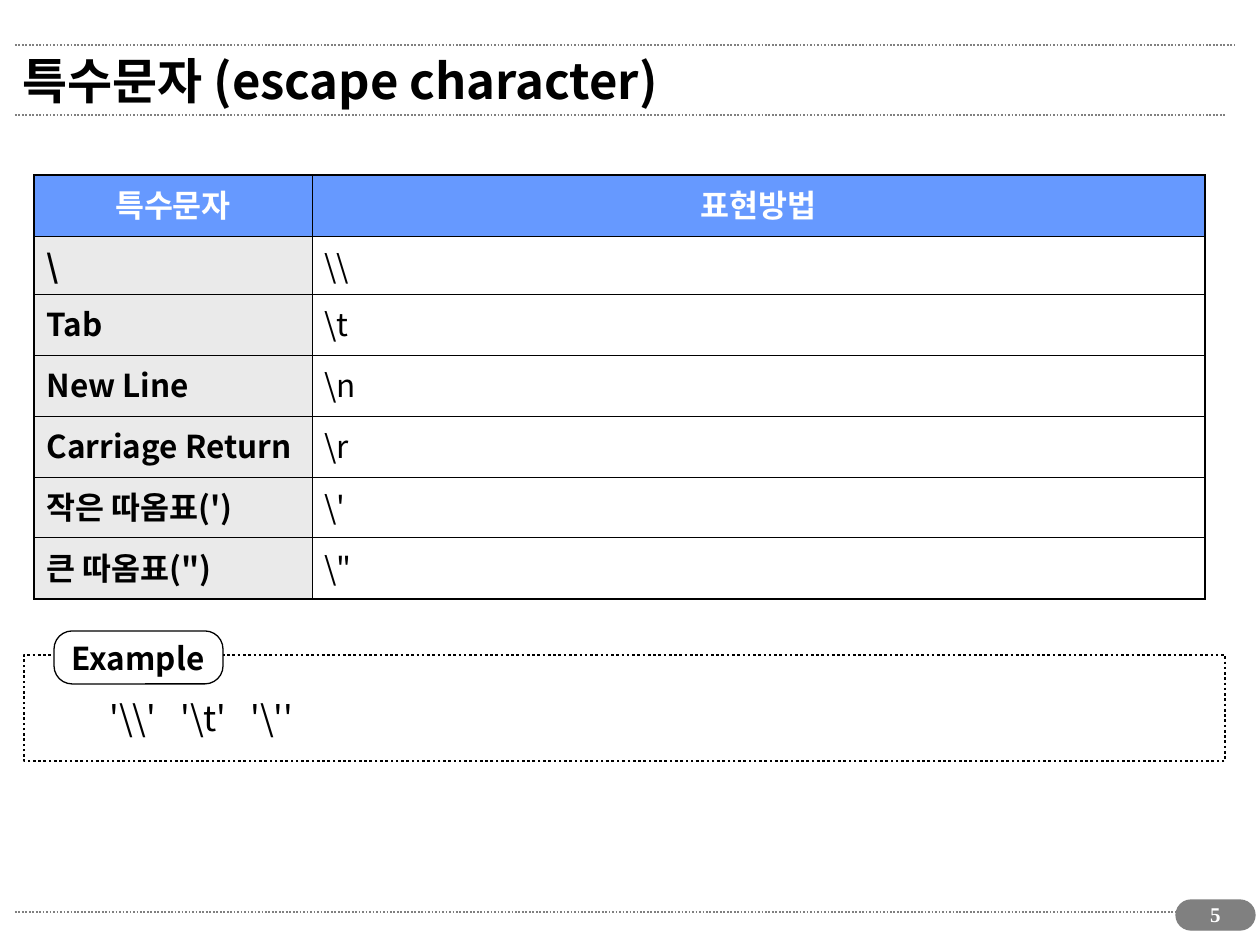
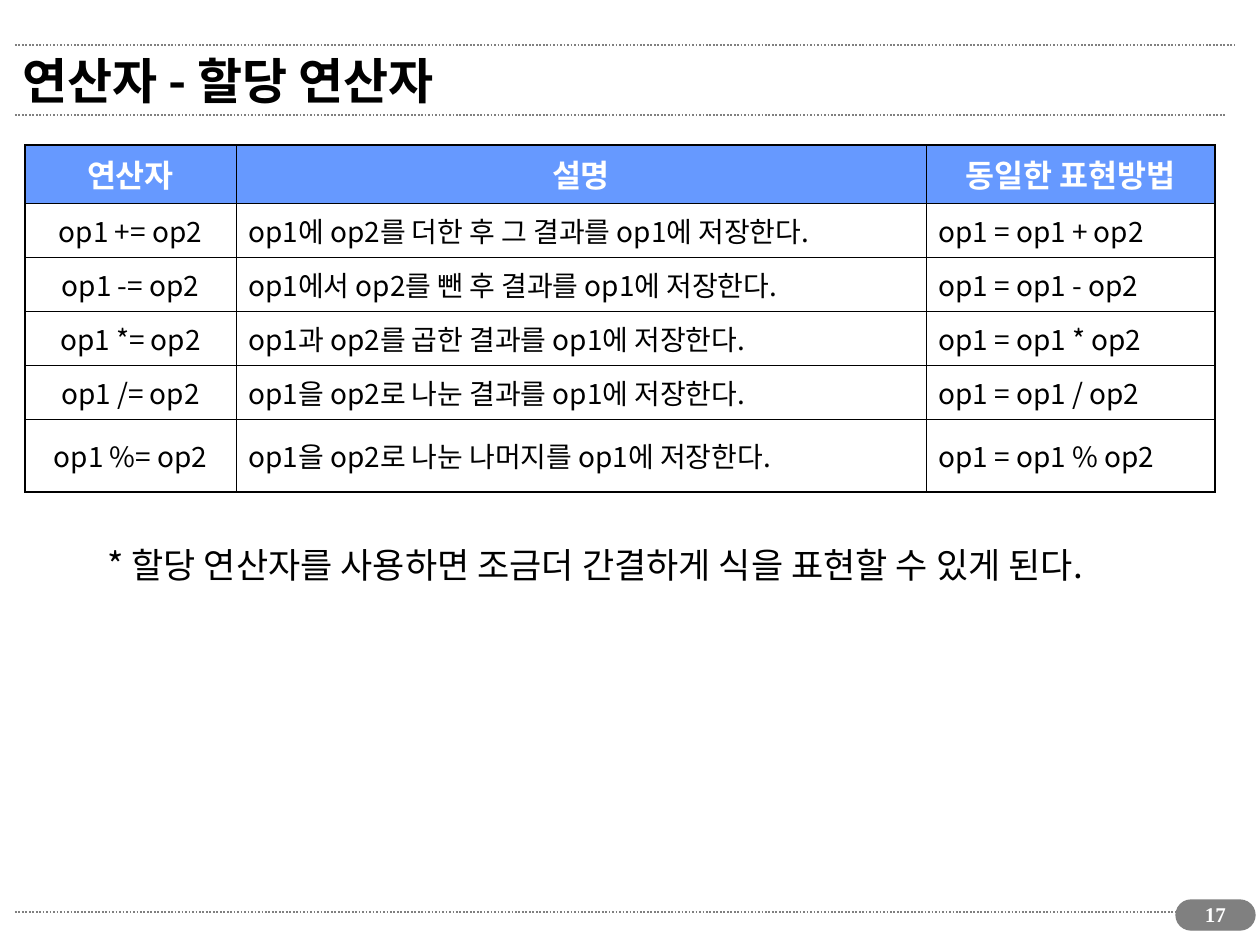
import dataclasses

import lxml.etree
import pptx
import pptx.dml.color
import pptx.enum.dml
import pptx.enum.shapes
import pptx.enum.text
import pptx.oxml.ns
import pptx.util

KIND = pptx.enum.shapes.MSO_SHAPE
ALIGN = pptx.enum.text.PP_ALIGN
ANCHOR = pptx.enum.text.MSO_ANCHOR
DOTS = pptx.enum.dml.MSO_LINE.ROUND_DOT
qn = pptx.oxml.ns.qn


@dataclasses.dataclass(frozen=True)
class Theme:
    """Colours, fonts, type sizes and line widths of the deck."""
    black: str = "000000"
    white: str = "FFFFFF"
    gray: str = "808080"
    pale: str = "EAEAEA"
    blue: str = "6699FF"
    sans: str = "Noto Sans CJK KR"
    serif: str = "Times New Roman"
    title: int = 28
    note: int = 20
    head: int = 18
    cell: int = 16
    page: int = 12
    outer: float = 1.08
    inner: float = 0.45


THEME = Theme()


def px(count):
    """Turn px into EMU."""
    return pptx.util.Emu(round(count * 914400 / 126))


def rgb(code):
    """Turn a hex code into a colour."""
    return pptx.dml.color.RGBColor.from_string(code)


def write(frame, text, size, color=THEME.black, bold=False, face=THEME.sans,
          align=ALIGN.LEFT, stops=()):
    """Write one paragraph with its tab stops and font."""
    frame.text = text
    para = frame.paragraphs[0]
    para.alignment = align
    props = para._p.get_or_add_pPr()
    if stops:
        tabs = lxml.etree.SubElement(props, qn("a:tabLst"))
        for stop in stops:
            lxml.etree.SubElement(tabs, qn("a:tab"), pos=str(px(stop)), algn="l")
    font = para.font
    font.size, font.bold = pptx.util.Pt(size), bold
    font.color.rgb = rgb(color)
    font.name = face
    lxml.etree.SubElement(props.find(qn("a:defRPr")), qn("a:ea"), typeface=face)


def label(slide, box, text, size, anchor=ANCHOR.TOP, **style):
    """Add a text box."""
    frame = slide.shapes.add_textbox(*map(px, box)).text_frame
    frame.word_wrap = True
    frame.vertical_anchor = anchor
    write(frame, text, size, **style)


def panel(slide, kind, box, fill, line, width):
    """Add a flat shape with an outline."""
    shape = slide.shapes.add_shape(kind, *map(px, box))
    shape.shadow.inherit = False
    if fill:
        shape.fill.solid()
        shape.fill.fore_color.rgb = rgb(fill)
    else:
        shape.fill.background()
    shape.line.color.rgb = rgb(line)
    shape.line.width = pptx.util.Pt(width)
    return shape


def rule(slide, left, right, top):
    """Add a dotted horizontal line."""
    line = slide.shapes.add_connector(
        pptx.enum.shapes.MSO_CONNECTOR.STRAIGHT,
        px(left), px(top), px(right), px(top))
    line.line.color.rgb = rgb(THEME.gray)
    line.line.width = pptx.util.Pt(1)
    line.line.dash_style = DOTS
    lxml.etree.SubElement(line._element.spPr, qn("a:effectLst"))


def base(deck, title, page):
    """Add a slide with its rules, title and page badge."""
    slide = deck.slides.add_slide(deck.slide_layouts[6])
    for right, top in ((1226, 912), (1225, 115), (1235, 45)):
        rule(slide, 15, right, top)
    badge = panel(slide, KIND.ROUNDED_RECTANGLE, (1176, 900, 79, 30),
                  THEME.gray, THEME.gray, 0.75)
    badge.adjustments[0] = 0.5
    label(slide, (10, 35, 1147, 89), title, THEME.title, ANCHOR.MIDDLE, bold=True)
    label(slide, (1181, 895, 69, 43), str(page), THEME.page, color=THEME.white,
          bold=True, face=THEME.serif, align=ALIGN.CENTER)
    return slide


def edge(cell, **widths):
    """Draw the borders of a cell."""
    props = cell._tc.get_or_add_tcPr()
    for side, width in widths.items():
        line = lxml.etree.SubElement(props, qn("a:ln" + side),
                                     w=str(pptx.util.Pt(width)))
        fill = lxml.etree.SubElement(line, qn("a:solidFill"))
        lxml.etree.SubElement(fill, qn("a:srgbClr"), val=THEME.black)


def grid(slide, left, top, cols, rows, data, size, shade):
    """Add a table whose first column is shaded or centred."""
    table = slide.shapes.add_table(
        len(rows), len(cols), px(left), px(top), px(sum(cols)), px(sum(rows))).table
    table.first_row = table.horz_banding = False
    for col, width in zip(table.columns, cols):
        col.width = px(width)
    for row, height in zip(table.rows, rows):
        row.height = px(height)
    for r, texts in enumerate(data):
        for c, text in enumerate(texts):
            cell = table.cell(r, c)
            head, lead = r == 0, c == 0
            ends = {"L": lead, "R": c == len(cols) - 1,
                    "T": head, "B": r == len(rows) - 1}
            edge(cell, **{side: THEME.outer if end else THEME.inner
                          for side, end in ends.items()})
            if head or lead and shade:
                cell.fill.solid()
                cell.fill.fore_color.rgb = rgb(THEME.blue if head else THEME.pale)
            else:
                cell.fill.background()
            cell.vertical_anchor = ANCHOR.TOP if head or shade else ANCHOR.MIDDLE
            center = head or lead and not shade
            write(cell.text_frame, text, THEME.head if head else size,
                  color=THEME.white if head else THEME.black,
                  bold=head or lead and shade,
                  align=ALIGN.CENTER if center else ALIGN.LEFT)


def sample(slide, left, top, width, height, text, stops):
    """Add a dotted example frame with its tag and code."""
    frame = panel(slide, KIND.RECTANGLE, (left, top, width, height),
                  None, THEME.black, 1.5)
    frame.line.dash_style = DOTS
    tag = panel(slide, KIND.ROUNDED_RECTANGLE, (left + 30, top - 24, 169, 53),
                THEME.white, THEME.black, 0.75)
    tag.adjustments[0] = 0.34
    tag.text_frame.word_wrap = False
    tag.text_frame.vertical_anchor = ANCHOR.MIDDLE
    write(tag.text_frame, "Example", THEME.head, bold=True)
    label(slide, (left + 73, top + 35, 300, 55), text, THEME.note, stops=stops)


def escapes(deck):
    """Build the slide on escape characters."""
    slide = base(deck, "특수문자 (escape character)", 5)
    data = [("특수문자", "표현방법"), ("\\", r"\\"), ("Tab", r"\t"),
            ("New Line", r"\n"), ("Carriage Return", r"\r"),
            ("작은 따옴표(')", r"\'"), ('큰 따옴표(")', r'\"')]
    grid(slide, 34, 175, (278, 893), (61, 58) + (61,) * 5, data,
         THEME.head, True)
    sample(slide, 24, 655, 1201, 106, "\t".join((r"'\\'", r"'\t'", r"'\''")),
           (71, 141))


def assigns(deck):
    """Build the slide on assignment operators."""
    slide = base(deck, "연산자 - 할당 연산자", 17)
    means = {"+": "에 op2를 더한 후 그 결과를", "-": "에서 op2를 뺀 후 결과를",
             "*": "과 op2를 곱한 결과를", "/": "을 op2로 나눈 결과를",
             "%": "을 op2로 나눈 나머지를"}
    data = [("연산자", "설명", "동일한 표현방법")]
    data += [(f"op1 {sign}= op2", f"op1{mean} op1에 저장한다.",
              f"op1 = op1 {sign} op2") for sign, mean in means.items()]
    grid(slide, 25, 145, (211, 690, 289), (58,) + (54,) * 4 + (73,), data,
         THEME.cell, False)
    label(slide, (95, 537, 1100, 55),
          "* 할당 연산자를 사용하면 조금더 간결하게 식을 표현할 수 있게 된다.",
          THEME.note)


def main():
    """Build and save the deck."""
    deck = pptx.Presentation()
    deck.slide_width, deck.slide_height = px(1260), px(945)
    escapes(deck)
    assigns(deck)
    deck.save("out.pptx")


if __name__ == "__main__":
    main()
